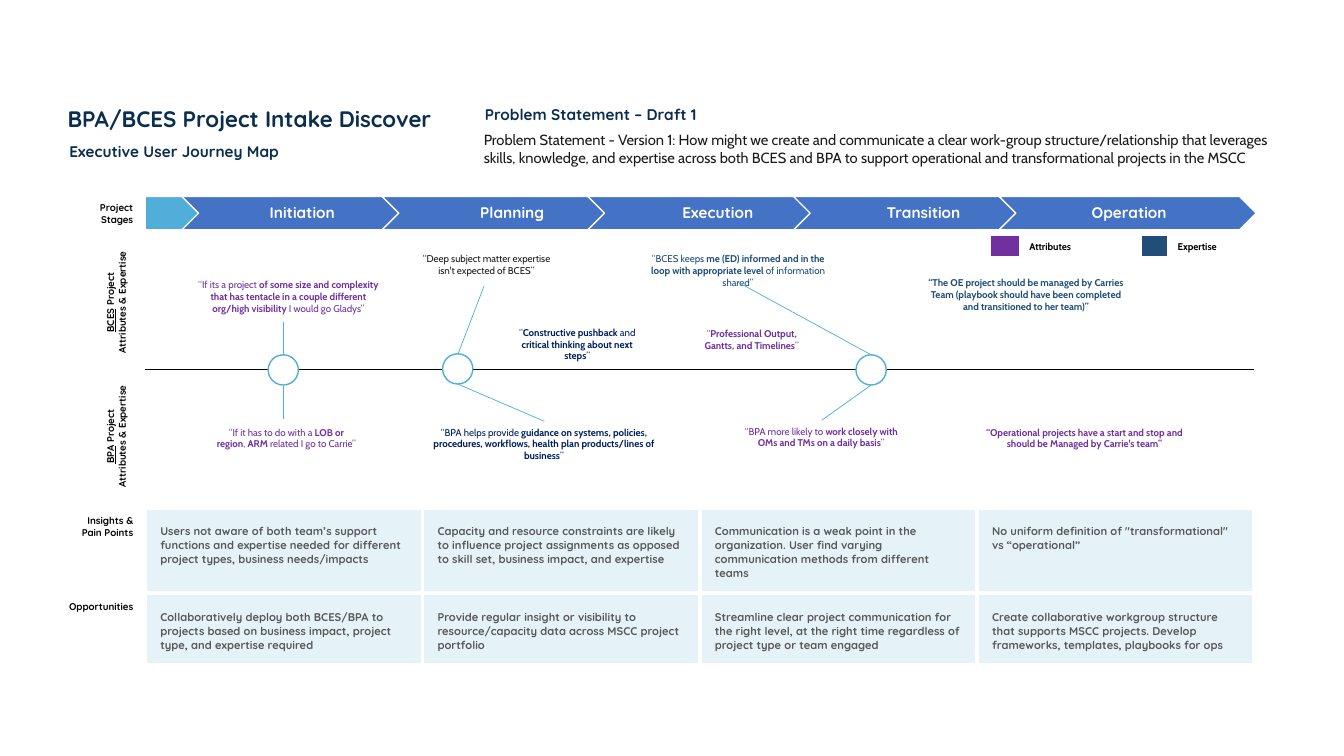
from lxml.etree import SubElement
from pptx import Presentation
from pptx.dml.color import RGBColor
from pptx.enum.shapes import MSO_CONNECTOR as Connector, MSO_SHAPE as Preset
from pptx.enum.text import MSO_ANCHOR as Anchor, MSO_AUTO_SIZE as AutoSize, PP_ALIGN as Align
from pptx.oxml import parse_xml
from pptx.oxml.ns import nsdecls, qn
from pptx.util import Emu, Pt

SCALE = 9144
COLORS = {
    "white": "FFFFFF", "black": "000000", "ink": "1A1A1A", "navy": "0B2E4E",
    "stage": "4472C4", "sky": "50AED8", "pale": "E5F3F9", "gray": "595959",
    "attribute": "7030A0", "expertise": "1F4E79", "deep": "002060",
}
STAGES = ["Initiation", "Planning", "Execution", "Transition", "Operation"]
INSIGHTS = [
    "Users not aware of both team’s support functions and expertise needed for different project types, business needs/impacts",
    "Capacity and resource constraints are likely to influence project assignments as opposed to skill set, business impact, and expertise",
    "Communication is a weak point in the organization. User find varying communication methods from different teams",
    'No uniform definition of "transformational" vs “operational”',
]
OPPORTUNITIES = [
    "Collaboratively deploy both BCES/BPA to projects based on business impact, project type, and expertise required",
    "Provide regular insight or visibility to resource/capacity data across MSCC project portfolio",
    "Streamline clear project communication for the right level, at the right time regardless of project type or team engaged",
    "Create collaborative workgroup structure that supports MSCC projects. Develop frameworks, templates, playbooks for ops",
]
QUOTES = [
    ((180, 272, 212, 45), "attribute", "“If its a project *of some size and complexity that has tentacle in a couple different org/high visibility* I would go Gladys”"),
    ((204, 418, 160, 34), "attribute", "“If it has to do with a *LOB or region*, *ARM* related I go to Carrie”"),
    ((626, 246, 212, 34), "expertise", "“BCES keeps *me (ED) informed and in the loop with appropriate level *of information shared”"),
    ((683, 320, 125, 34), "attribute", "“*Professional Output, Gantts, and Timelines*”"),
    ((494, 319, 157, 34), "deep", "“*Constructive pushback *and *critical thinking about next steps*”"),
    ((908, 270, 219, 45), "expertise", "*“The OE project should be managed by Carries Team (playbook should have been completed and transitioned to her team)”*"),
    ((966, 418, 219, 34), "attribute", "*“Operational projects have a start and stop and should be Managed by Carrie's team”*"),
    ((404, 246, 157, 34), "ink", "“Deep subject matter expertise isn't expected of BCES”"),
    ((403, 418, 273, 34), "deep", "“BPA helps provide *guidance on systems, policies, procedures, workflows, health plan products/lines of business*”"),
    ((722, 417, 185, 34), "attribute", "“BPA more likely to *work closely with OMs and TMs on a daily basis*”"),
]
TOUCHPOINTS = [(266, 352), (439, 351), (849, 352)]
LINKS = [
    (281, 352, 281, 319), (281, 416, 281, 383), (454, 352, 480, 284),
    (540, 418, 454, 381), (864, 352, 732, 280), (815, 417, 864, 382),
]


def px(*lengths):
    return [Emu(length * SCALE) for length in lengths]


def rgb(color):
    return RGBColor.from_string(COLORS[color])


def write(frame, text, size=7, color="black", face="Quicksand", bold=True,
          align=Align.LEFT, accent="bold", spacing=None):
    for index, line in enumerate(text.split("\n")):
        paragraph = frame.paragraphs[0] if index == 0 else frame.add_paragraph()
        paragraph.alignment = align
        paragraph.line_spacing = spacing
        for part, words in enumerate(line.split("*")):
            if not words:
                continue
            run = paragraph.add_run()
            run.text = words
            font = run.font
            font.size, font.name, font.bold = Pt(size), face, bold
            font.color.rgb = rgb(color)
            if part % 2:
                setattr(font, accent, True)


def inset(target, left, top, right, bottom):
    (target.margin_left, target.margin_top,
     target.margin_right, target.margin_bottom) = px(left, top, right, bottom)


def add_label(slide, box, text, rotation=0, wrap=True, **style):
    label = slide.shapes.add_textbox(*px(*box))
    label.rotation = rotation
    label.text_frame.word_wrap = wrap
    write(label.text_frame, text, **style)


def add_figure(slide, preset, box, fill, line):
    figure = slide.shapes.add_shape(preset, *px(*box))
    figure.shadow.inherit = False
    figure.fill.solid()
    figure.fill.fore_color.rgb = rgb(fill)
    figure.line.color.rgb = rgb(line)
    figure.line.width = Pt(1)
    return figure


def add_link(slide, ends):
    link = slide.shapes.add_connector(Connector.STRAIGHT, *px(*ends))
    link.line.color.rgb = rgb("sky")
    link.line.width = Pt(0.5)
    SubElement(link._element.spPr, qn("a:effectLst"))


def set_borders(cell, color, widths):
    properties = cell._tc.get_or_add_tcPr()
    for index, (side, width) in enumerate(zip("LRTB", widths)):
        paint = (f'<a:solidFill><a:srgbClr val="{COLORS[color]}"/></a:solidFill>'
                 if width else "<a:noFill/>")
        properties.insert(index, parse_xml(
            f'<a:ln{side} {nsdecls("a")} w="{int(Pt(width))}">{paint}</a:ln{side}>'))


def add_grid(slide, left, top, widths, heights, texts, fills, borders,
             border_color="white", margins=(10, 5, 10, 5), **style):
    grid = slide.shapes.add_table(
        len(heights), len(widths), *px(left, top, sum(widths), sum(heights))).table
    grid.first_row = grid.horz_banding = False
    for column, width in zip(grid.columns, px(*widths)):
        column.width = width
    for r, height in enumerate(px(*heights)):
        grid.rows[r].height = height
        for c, (text, fill) in enumerate(zip(texts, fills)):
            cell = grid.cell(r, c)
            inset(cell, *margins)
            if fill:
                cell.fill.solid()
                cell.fill.fore_color.rgb = rgb(fill)
            else:
                cell.fill.background()
            set_borders(cell, border_color, borders[r])
            write(cell.text_frame, text, **style)
            if not text:
                cell.text_frame.paragraphs[0]._p.get_or_add_endParaRPr().set("sz", "700")


def add_headings(slide):
    title = slide.shapes.title
    title.left, title.top, title.width, title.height = px(57, 99, 985, 36)
    title.text_frame.auto_size = AutoSize.NONE
    title.text_frame.vertical_anchor = Anchor.TOP
    write(title.text_frame, "BPA/BCES Project Intake Discover", size=16, color="navy")
    add_label(slide, (59, 136, 400, 29), "Executive User Journey Map", size=11, color="navy")
    add_label(slide, (471, 99, 251, 29), "Problem Statement – Draft 1", size=11, color="navy")
    add_label(slide, (470, 125, 810, 45),
              "Problem Statement - Version 1: How might we create and communicate a clear "
              "work-group structure/relationship that leverages skills, knowledge, and expertise "
              "across both BCES and BPA to support operational and transformational projects in the MSCC",
              size=10.5, color="ink", face="Cabin", bold=False)


def add_stages(slide):
    for index, name in enumerate(STAGES):
        preset = Preset.CHEVRON if index else Preset.PENTAGON
        stage = add_figure(slide, preset, (175 + 204 * index, 195, 255, 33), "stage", "white")
        frame = stage.text_frame
        frame.vertical_anchor = Anchor.MIDDLE
        inset(frame, 5, 3, 2, 3)
        write(frame, name, size=11, color="white", align=Align.CENTER, spacing=0.9)
    add_figure(slide, Preset.PENTAGON, (144, 195, 53, 33), "sky", "white")


def add_row_names(slide):
    add_label(slide, (89, 195, 53, 34), "Project\nStages", wrap=False, align=Align.RIGHT)
    add_label(slide, (69, 506, 73, 34), "Insights & Pain Points", align=Align.RIGHT)
    add_label(slide, (53, 591, 89, 22), "Opportunities", align=Align.RIGHT)
    for team, top in (("BCES", 283), ("BPA", 416)):
        add_label(slide, (53, top, 125, 34), f"*{team}* Project\nAttributes & Expertise",
                  rotation=270, align=Align.CENTER, accent="underline")


def add_journey(slide):
    add_grid(slide, 144, 248, [275] * 4, [118] * 2, [""] * 4, [None] * 4,
             [(0, 0, 0, 0.25), (0, 0, 0.25, 0)], border_color="black")
    for box, color, quote in QUOTES:
        add_label(slide, box, quote, color=color, face="Cabin", bold=False, align=Align.CENTER)
    for ends in LINKS:
        add_link(slide, ends)
    for left, top in TOUCHPOINTS:
        add_figure(slide, Preset.OVAL, (left, top, 30, 30), "white", "sky")
    add_grid(slide, 982, 234, [29, 121, 26, 124], [19], ["", "Attributes", "", "Expertise"],
             ["attribute", "white", "expertise", "white"], [(1, 1, 1, 3)], face="Cabin")


def main():
    deck = Presentation()
    deck.slide_width, deck.slide_height = px(1333, 750)
    slide = deck.slides.add_slide(deck.slide_layouts[5])
    add_headings(slide)
    add_stages(slide)
    add_row_names(slide)
    add_journey(slide)
    for top, findings in ((505, INSIGHTS), (590, OPPORTUNITIES)):
        add_grid(slide, 144, top, [275] * 4, [70], findings, ["pale"] * 4,
                 [(3, 3, 1, 3)], margins=(15, 15, 15, 15), size=8, color="gray")
    deck.save("out.pptx")


if __name__ == "__main__":
    main()
